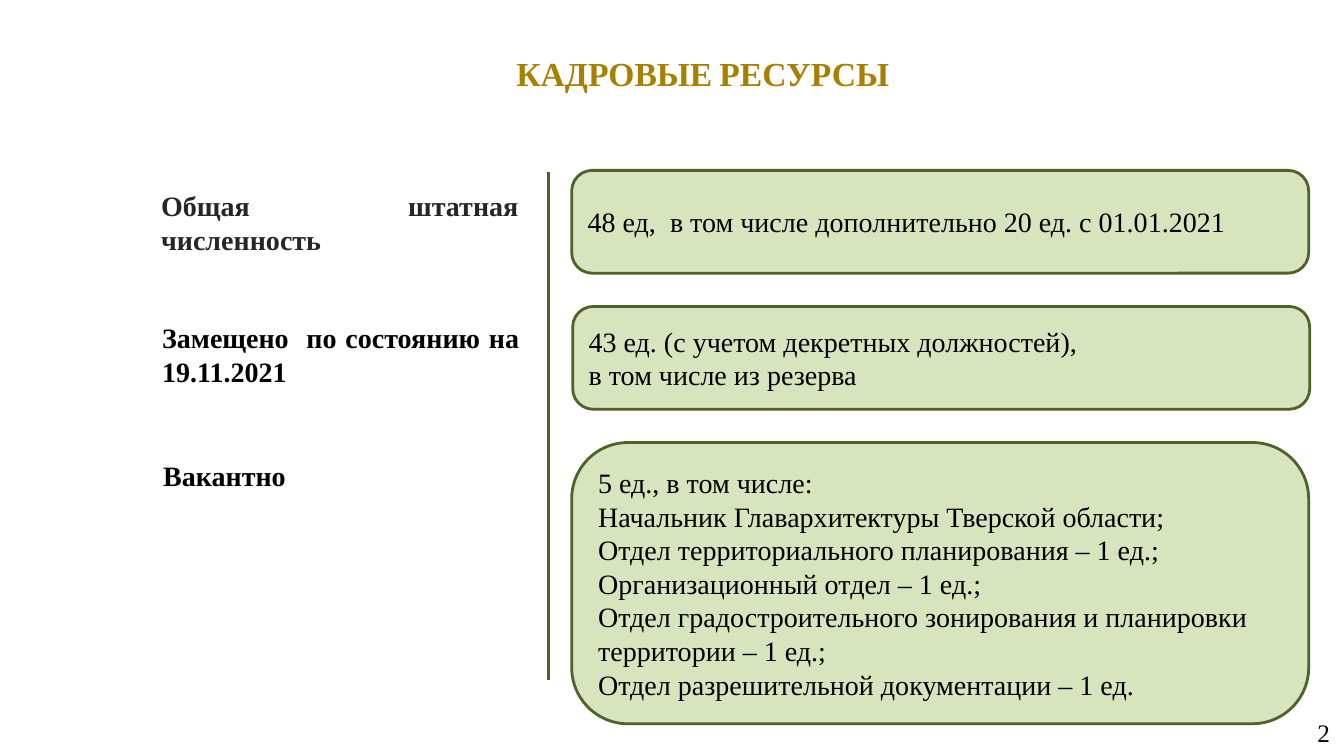
"""Build the staffing resources slide."""
from lxml import etree
from pptx import Presentation
from pptx.dml.color import RGBColor
from pptx.enum.shapes import MSO_CONNECTOR, MSO_SHAPE
from pptx.enum.text import MSO_ANCHOR, PP_ALIGN
from pptx.oxml.ns import qn
from pptx.util import Emu, Pt

PX = 9144
ROUND_RECT = MSO_SHAPE.ROUNDED_RECTANGLE
STRAIGHT = MSO_CONNECTOR.STRAIGHT
TOP, MIDDLE = MSO_ANCHOR.TOP, MSO_ANCHOR.MIDDLE
LEFT, CENTER, RIGHT, JUSTIFY = PP_ALIGN.LEFT, PP_ALIGN.CENTER, PP_ALIGN.RIGHT, PP_ALIGN.JUSTIFY

FONT = "Times New Roman"
COLORS = {"title": "A88000", "dark": "262626", "text": "000000", "fill": "D7E4BD", "line": "4F6228"}

TITLE = [("КАДРОВЫЕ", 24), (" ", 20), ("РЕСУРСЫ", 24)]
PAGE = "2"
ROWS = [
    {"label": "Общая штатная численность", "color": "dark",
     "label_at": (150, 182, 374, 76), "box_at": (567, 169, 731, 102),
     "lines": ["48 ед,  в том числе дополнительно 20 ед. с 01.01.2021"]},
    {"label": "Замещено  по состоянию на 19.11.2021", "color": "text",
     "label_at": (151, 313, 374, 77), "box_at": (568, 304, 731, 102),
     "lines": ["43 ед. (с учетом декретных должностей),", "в том числе из резерва"]},
    {"label": "Вакантно", "color": "text",
     "label_at": (152, 450, 374, 43), "box_at": (567, 439, 731, 279),
     "lines": ["5 ед., в том числе:",
               "Начальник Главархитектуры Тверской области;",
               "Отдел территориального планирования – 1 ед.;",
               "Организационный отдел – 1 ед.;",
               "Отдел градостроительного зонирования и планировки территории – 1 ед.;",
               "Отдел разрешительной документации – 1 ед."]},
]


def px(*lengths):
    return [Emu(n * PX) for n in lengths]


def rgb(name):
    return RGBColor.from_string(COLORS[name])


def style_line(line):
    line.color.rgb = rgb("line")
    line.width = Pt(2)


def write(sp, lines, align=LEFT, anchor=TOP, color="text", bold=False, size=20, insets=(10, 5)):
    tf = sp.text_frame
    tf.word_wrap = True
    tf.vertical_anchor = anchor
    tf.margin_left, tf.margin_top = tf.margin_right, tf.margin_bottom = px(*insets)
    tf.text = "\n".join(lines)
    for p in tf.paragraphs:
        p.alignment = align
        for r in p.runs:
            style_run(r, size, color, bold)
    return tf


def style_run(r, size, color, bold):
    r.font.name = FONT
    r.font.size = Pt(size)
    r.font.bold = bold
    r.font.color.rgb = rgb(color)


def add_box(s, at, lines):
    sp = s.shapes.add_shape(ROUND_RECT, *px(*at))
    sp.adjustments[0] = 0.2
    sp.shadow.inherit = False
    sp.fill.solid()
    sp.fill.fore_color.rgb = rgb("fill")
    style_line(sp.line)
    write(sp, lines, anchor=MIDDLE)


def main():
    prs = Presentation()
    prs.slide_width, prs.slide_height = px(1333, 750)
    s = prs.slides.add_slide(prs.slide_layouts[6])

    title = s.shapes.add_textbox(*px(165, 46, 1064, 53))
    p = write(title, [""], CENTER, insets=(13, 7)).paragraphs[0]
    for text, size in TITLE:
        r = p.add_run()
        r.text = text
        style_run(r, size, "title", True)

    divider = s.shapes.add_connector(STRAIGHT, *px(544, 171, 544, 675))
    style_line(divider.line)
    etree.SubElement(divider.element.spPr, qn("a:effectLst"))

    for row in ROWS:
        label = s.shapes.add_textbox(*px(*row["label_at"]))
        write(label, [row["label"]], JUSTIFY, color=row["color"], bold=True)
        add_box(s, row["box_at"], row["lines"])

    page = s.shapes.add_textbox(*px(1022, 707, 310, 39))
    write(page, [PAGE], RIGHT, MIDDLE, size=18, insets=(13, 7))
    prs.save("out.pptx")


if __name__ == "__main__":
    main()
